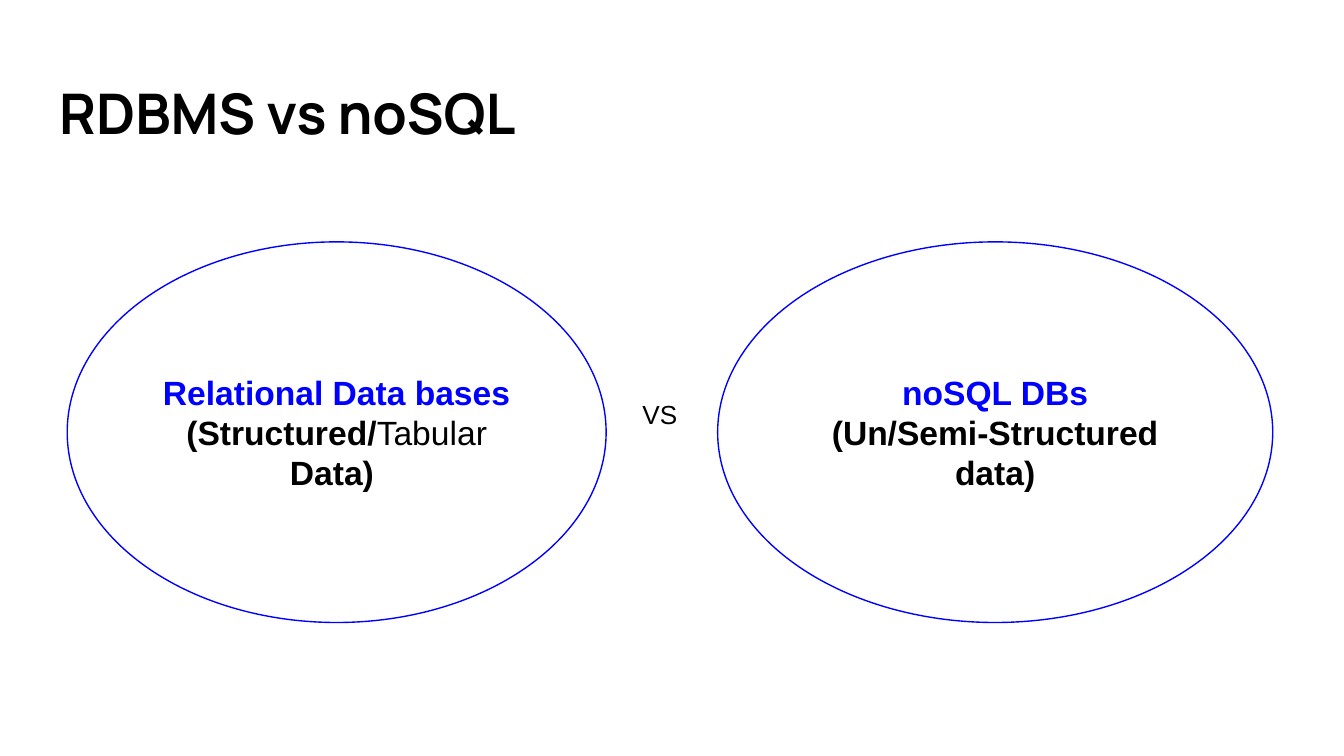
from pptx import Presentation
from pptx.dml.color import RGBColor as RGB
from pptx.enum.shapes import MSO_SHAPE as Shape
from pptx.enum.text import MSO_ANCHOR as Anchor, PP_ALIGN as Align
from pptx.util import Inches, Pt

COLORS = {"text": "000000", "accent": "0000FF"}

prs = Presentation()
prs.slide_width = Inches(10)
prs.slide_height = prs.slide_width * 9 // 16
W, H = prs.slide_width / 100, prs.slide_height / 100  # one percent of each side
s = prs.slides.add_slide(prs.slide_layouts[5])


def place(sp, x, y, w, h, anchor):
    """Position a shape in percent of the slide and set up its text frame."""
    sp.left, sp.top, sp.width, sp.height = int(x * W), int(y * H), int(w * W), int(h * H)
    tf = sp.text_frame
    tf.word_wrap = True
    tf.vertical_anchor = anchor
    tf.margin_left = tf.margin_right = tf.margin_top = tf.margin_bottom = Inches(0.1)
    return tf


def add_run(p, text, size, color="text", bold=False, font="Arial"):
    r = p.add_run()
    r.text = text
    r.font.size, r.font.bold, r.font.name = Pt(size), bold, font
    r.font.color.rgb = RGB.from_string(COLORS[color])


# Title
tf = place(s.shapes.title, 3.4, 8.65, 93.2, 12.1, Anchor.TOP)
tf.paragraphs[0].alignment = Align.LEFT
add_run(tf.paragraphs[0], "RDBMS vs noSQL", 30, bold=True, font="Manrope")

# Two ellipses: left, width, heading, description runs (text, bold)
ellipses = [
    (5, 40.1, "Relational Data bases",
     [("(Structured/", True), ("Tabular ", False), ("Data) ", True)]),
    (53.4, 41.3, "noSQL DBs", [("(Un/Semi-Structured data)", True)]),
]
for x, w, heading, description in ellipses:
    sp = s.shapes.add_shape(Shape.OVAL, 0, 0, 0, 0)
    sp.shadow.inherit = False
    sp.fill.background()
    sp.line.color.rgb = RGB.from_string(COLORS["accent"])
    sp.line.width = Pt(0.75)
    tf = place(sp, x, 32, w, 50.35, Anchor.MIDDLE)
    p = tf.paragraphs[0]
    p.alignment = Align.CENTER
    add_run(p, heading, 18, "accent", True)
    p = tf.add_paragraph()
    p.alignment = Align.CENTER
    for text, bold in description:
        add_run(p, text, 18, bold=bold)

# Label between the ellipses
tf = place(s.shapes.add_textbox(0, 0, 0, 0), 46.35, 50.95, 5.5, 9.8, Anchor.TOP)
tf.paragraphs[0].alignment = Align.CENTER
add_run(tf.paragraphs[0], "VS", 14)

prs.save("out.pptx")
